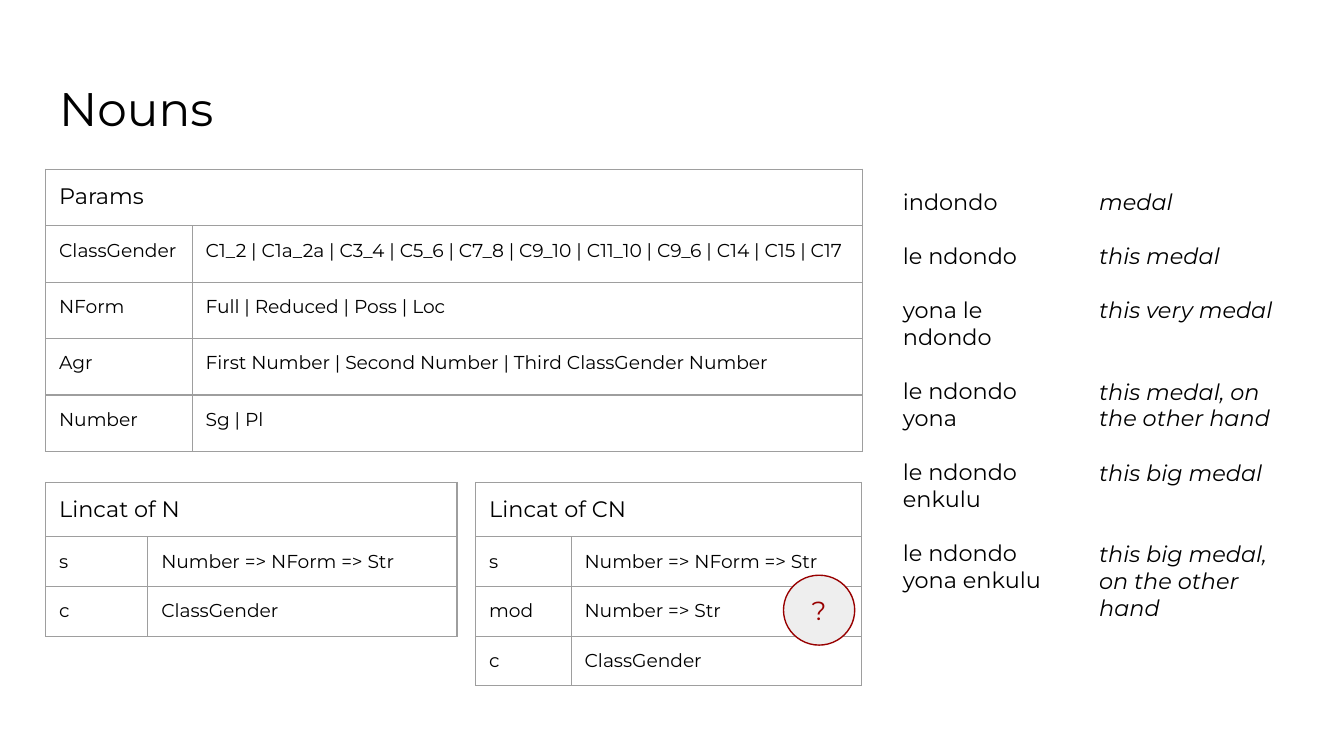
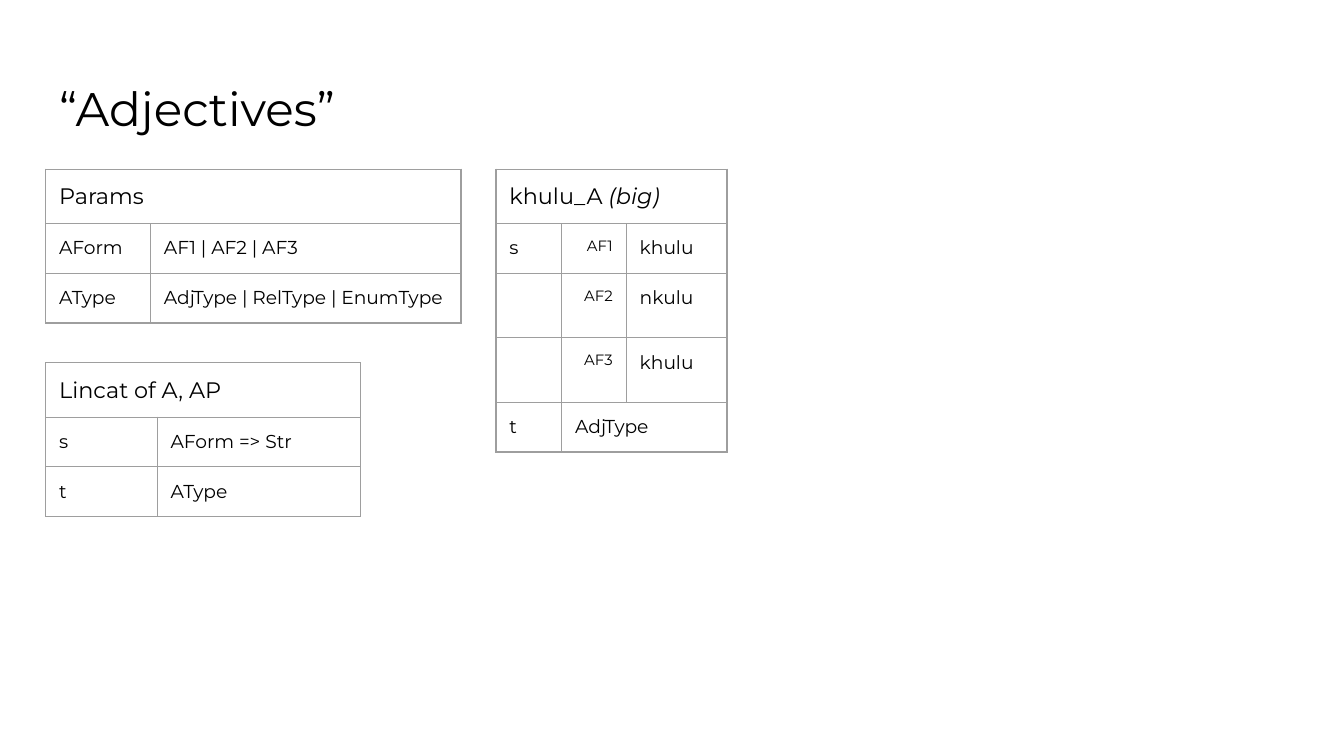
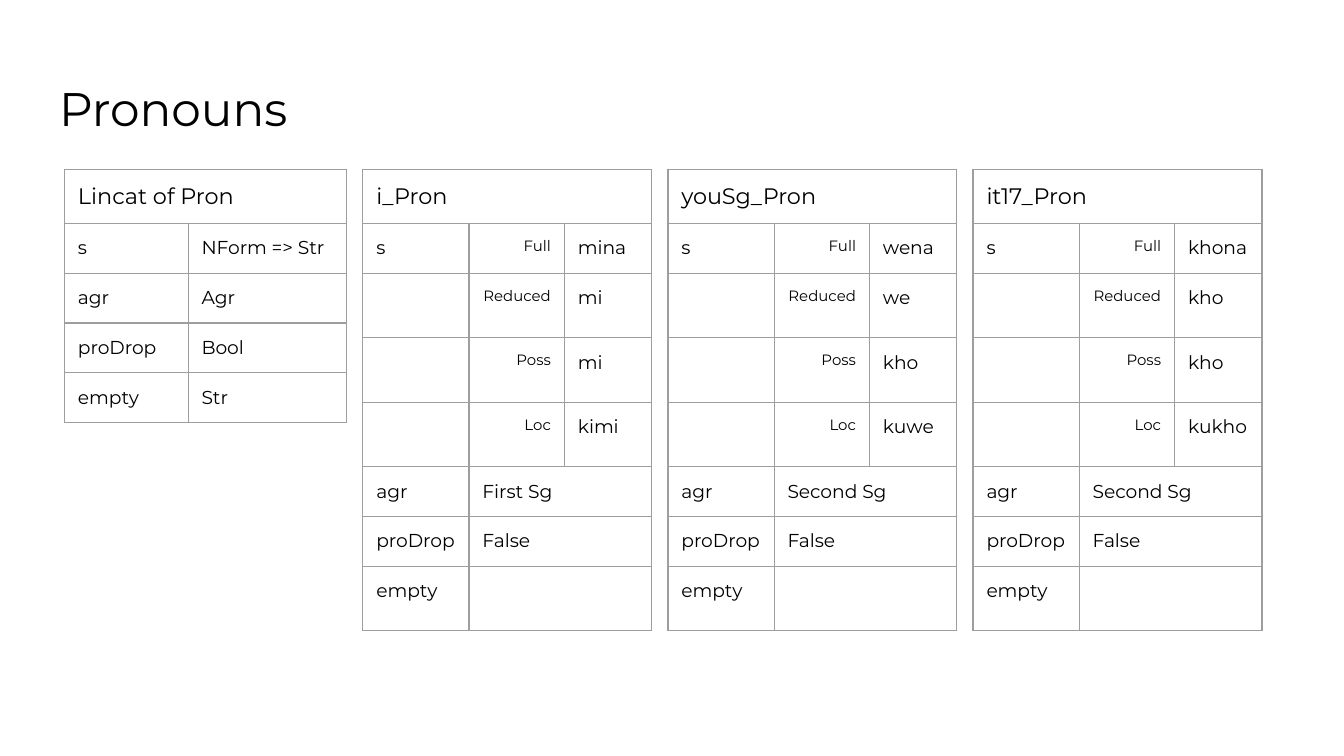
from lxml import etree
from pptx import Presentation
from pptx.dml.color import RGBColor
from pptx.enum.shapes import MSO_SHAPE
from pptx.enum.text import MSO_ANCHOR, MSO_AUTO_SIZE, PP_ALIGN
from pptx.oxml.ns import qn
from pptx.util import Inches, Pt

# Shared style
BLACK = RGBColor(0x00, 0x00, 0x00)
GREY = RGBColor(0x9E, 0x9E, 0x9E)
PALE = RGBColor(0xEE, 0xEE, 0xEE)
RED = RGBColor(0x98, 0x00, 0x00)
FONT = "Montserrat"
OVAL = MSO_SHAPE.OVAL
MIDDLE = MSO_ANCHOR.MIDDLE
TOP = MSO_ANCHOR.TOP
NO_FIT = MSO_AUTO_SIZE.NONE
LEFT, CENTER, RIGHT = PP_ALIGN.LEFT, PP_ALIGN.CENTER, PP_ALIGN.RIGHT

EDGE = 0.34        # left edge of titles and most tables
TABLE_TOP = 1.26
INSET = 0.1
HEAD, ROW, TALL = 0.4, 0.37, 0.48   # row heights
LINE = 14.6        # height of a 12 pt line, in points


class Deck:
    def __init__(self):
        self.prs = Presentation()
        self.prs.slide_width = Inches(10)
        self.prs.slide_height = Inches(5.625)
        self.slide = None

    def style(self, para, size, color=BLACK, italic=False, align=LEFT):
        para.alignment = align
        for run in para.runs:
            font = run.font
            font.name, font.size, font.italic = FONT, Pt(size), italic
            font.color.rgb = color

    def inset(self, frame):
        frame.margin_left = frame.margin_right = Inches(INSET)
        frame.margin_top = frame.margin_bottom = Inches(INSET)
        frame.word_wrap = True

    def page(self, title):
        self.slide = self.prs.slides.add_slide(self.prs.slide_layouts[5])
        shape = self.slide.shapes.title
        shape.left, shape.top = Inches(EDGE), Inches(0.49)
        shape.width, shape.height = Inches(9.32), Inches(0.63)
        frame = shape.text_frame
        frame.text = title
        frame.auto_size = NO_FIT
        frame.vertical_anchor = TOP
        self.inset(frame)
        self.style(frame.paragraphs[0], 25.2)

    def border(self, cell):
        props = cell._tc.get_or_add_tcPr()
        for i, side in enumerate(("lnL", "lnR", "lnT", "lnB")):
            line = etree.Element(qn("a:" + side), w=str(Pt(0.75)))
            fill = etree.SubElement(line, qn("a:solidFill"))
            etree.SubElement(fill, qn("a:srgbClr"), val=str(GREY))
            props.insert(i, line)

    def table(self, left, top, cols, head, rows, aside="", first=HEAD, body=ROW):
        """A short row lets its last cell span the remaining columns."""
        # An empty cell makes its row tall
        highs = [first] + [body if all(row) else TALL for row in rows]
        grid = self.slide.shapes.add_table(
            len(highs), len(cols), Inches(left), Inches(top),
            Inches(sum(cols)), Inches(sum(highs))).table
        grid.first_row = grid.horz_banding = False
        for col, width in zip(grid.columns, cols):
            col.width = Inches(width)
        for row, high in zip(grid.rows, highs):
            row.height = Inches(high)

        last = len(cols) - 1
        for r, texts in enumerate([(head,)] + rows):
            for c in range(len(cols)):
                cell = grid.cell(r, c)
                text = texts[c] if c < len(texts) else ""
                pad = Inches(INSET if text else 0)
                cell.margin_left = cell.margin_right = Inches(INSET)
                cell.margin_top = cell.margin_bottom = pad
                cell.fill.background()
                self.border(cell)
                if text:
                    label = len(texts) == 3 and c == 1
                    cell.text_frame.text = text
                    self.style(cell.text_frame.paragraphs[0],
                               12 if r == 0 else 8 if label else 10,
                               align=RIGHT if label else LEFT)
            end = len(texts) - 1
            if end < last:
                grid.cell(r, end).merge(grid.cell(r, last))

        if aside:
            para = grid.cell(0, 0).text_frame.paragraphs[0]
            para.add_run().text = aside
            self.style(para, 12)
            para.runs[-1].font.italic = True

    def phrases(self, left, width, high, items, italic=False):
        """Each item is a text and the number of lines of space after it."""
        box = self.slide.shapes.add_textbox(
            Inches(left), Inches(1.3), Inches(width), Inches(high))
        frame = box.text_frame
        self.inset(frame)
        for i, (text, gap) in enumerate(items):
            para = frame.add_paragraph() if i else frame.paragraphs[0]
            para.text = text
            para.space_after = Pt(gap * LINE)
            self.style(para, 12, italic=italic)

    def badge(self, left, top, width, high, text):
        shape = self.slide.shapes.add_shape(
            OVAL, Inches(left), Inches(top), Inches(width), Inches(high))
        shape.shadow.inherit = False
        shape.fill.solid()
        shape.fill.fore_color.rgb = PALE
        shape.line.color.rgb = RED
        shape.line.width = Pt(0.75)
        frame = shape.text_frame
        frame.text = text
        frame.vertical_anchor = MIDDLE
        self.inset(frame)
        self.style(frame.paragraphs[0], 14, RED, align=CENTER)


deck = Deck()

# Nouns
deck.page("Nouns")
deck.table(EDGE, TABLE_TOP, (1.09, 4.99), "Params", [
    ("ClassGender", "C1_2 | C1a_2a | C3_4 | C5_6 | C7_8 | C9_10 | C11_10 | "
                    "C9_6 | C14 | C15 | C17"),
    ("NForm", "Full | Reduced | Poss | Loc"),
    ("Agr", "First Number | Second Number | Third ClassGender Number"),
    ("Number", "Sg | Pl"),
], first=0.42, body=0.42)
deck.table(EDGE, 3.59, (0.76, 2.3), "Lincat of N", [
    ("s", "Number => NForm => Str"),
    ("c", "ClassGender"),
])
deck.table(3.54, 3.59, (0.71, 2.16), "Lincat of CN", [
    ("s", "Number => NForm => Str"),
    ("mod", "Number => Str"),
    ("c", "ClassGender"),
])
deck.phrases(6.62, 1.46, 3.23, [
    ("indondo", 1),
    ("le ndondo", 1),
    ("yona le ndondo", 1),
    ("le ndondo yona", 1),
    ("le ndondo enkulu", 1),
    ("le ndondo yona enkulu", 0),
])
deck.phrases(8.08, 1.58, 3.43, [
    ("medal", 1),
    ("this medal", 1),
    ("this very medal", 2),
    ("this medal, on the other hand", 1),
    ("this big medal", 2),
    ("this big medal, on the other hand", 0),
], italic=True)
deck.badge(5.83, 4.28, 0.53, 0.52, "?")

# Adjectives
deck.page("“Adjectives”")
deck.table(EDGE, 2.7, (0.83, 1.51), "Lincat of A, AP", [
    ("s", "AForm => Str"),
    ("t", "AType"),
])
deck.table(EDGE, TABLE_TOP, (0.78, 2.31), "Params", [
    ("AForm", "AF1 | AF2 | AF3"),
    ("AType", "AdjType | RelType | EnumType"),
])
deck.table(3.69, TABLE_TOP, (0.49, 0.48, 0.75), "khulu_A", [
    ("s", "AF1", "khulu"),
    ("", "AF2", "nkulu"),
    ("", "AF3", "khulu"),
    ("t", "AdjType"),
], aside=" (big)")

# Pronouns
deck.page("Pronouns")
deck.table(0.48, TABLE_TOP, (0.92, 1.18), "Lincat of Pron", [
    ("s", "NForm => Str"),
    ("agr", "Agr"),
    ("proDrop", "Bool"),
    ("empty", "Str"),
])
PRONS = [
    ("i_Pron", ("mina", "mi", "mi", "kimi"), "First Sg"),
    ("youSg_Pron", ("wena", "we", "kho", "kuwe"), "Second Sg"),
    ("it17_Pron", ("khona", "kho", "kho", "kukho"), "Second Sg"),
]
CASES = ("Full", "Reduced", "Poss", "Loc")
for i, (name, forms, agr) in enumerate(PRONS):
    rows = [("" if n else "s", case, form)
            for n, (case, form) in enumerate(zip(CASES, forms))]
    rows += [("agr", agr), ("proDrop", "False"), ("empty", "")]
    deck.table(2.7 + 2.27 * i, TABLE_TOP, (0.79, 0.71, 0.65), name, rows)

deck.prs.save("out.pptx")
